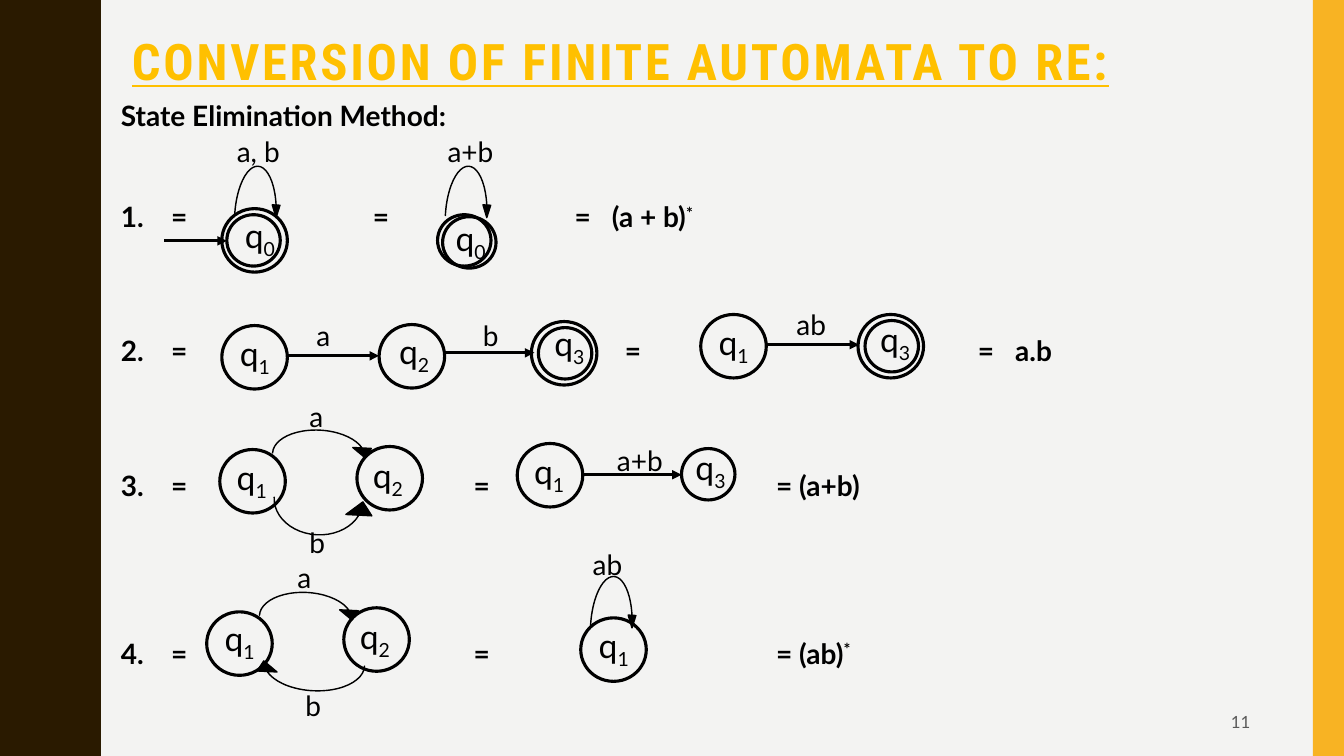
from dataclasses import dataclass

from lxml import etree
from pptx import Presentation
from pptx.dml.color import RGBColor
from pptx.enum.shapes import MSO_CONNECTOR, MSO_SHAPE
from pptx.enum.text import MSO_ANCHOR, PP_ALIGN
from pptx.oxml.ns import qn
from pptx.util import Inches, Pt

STRAIGHT = MSO_CONNECTOR.STRAIGHT
OVAL, RECT, BEND = MSO_SHAPE.OVAL, MSO_SHAPE.RECTANGLE, MSO_SHAPE.CURVED_DOWN_ARROW
RIGHT, MIDDLE = PP_ALIGN.RIGHT, MSO_ANCHOR.MIDDLE


@dataclass(frozen=True)
class Theme:
    paper: RGBColor = RGBColor(0xF3, 0xF3, 0xF2)
    wave: RGBColor = RGBColor(0x2A, 0x1A, 0x00)
    band: RGBColor = RGBColor(0xF8, 0xB3, 0x23)
    title: RGBColor = RGBColor(0xFF, 0xC0, 0x00)
    ink: RGBColor = RGBColor(0, 0, 0)
    muted: RGBColor = RGBColor(0x59, 0x59, 0x59)
    head_font: str = "Roboto Condensed"
    body_font: str = "Lato"
    title_size: int = 36
    state_size: int = 24
    body_size: int = 20
    page_size: int = 12
    line: float = 2.25
    thin: float = 1


T = Theme()

# Wave edge: half of one period, and the number of periods down the slide
HALF_WAVE = [(0.78, 0), (0.78, 0.07), (0.79, 0.14), (0.8, 0.2), (0.81, 0.25),
             (0.83, 0.29), (0.85, 0.33), (0.87, 0.38), (0.89, 0.42), (0.91, 0.46),
             (0.93, 0.5), (0.95, 0.55), (0.96, 0.61), (0.97, 0.68), (0.97, 0.75)]
PERIOD, WAVES = 1.5, 5

# Ring sizes and curved arrow proportions
OUTER, INNER = (0.65, 0.63), (0.53, 0.51)
LOOP, ARC = (0, 0.17, 0.277), (0, 0.736, 0.381)

# Formula rows: text, superscript, empty lines above
ROWS = [
    ("=" + "\t" * 4 + "=" + "\t" * 4 + "=\u2003(a + b)", "*", 2),
    ("=" + "\t" * 9 + "=" + "\t" * 7 + "=\u2003a.b", "", 3),
    ("=" + "\t" * 6 + "=" + "\t" * 6 + "= (a+b)", "", 3),
    ("=" + "\t" * 6 + "=" + "\t" * 6 + "= (ab)", "*", 4),
]

# States: index, label position, rings as (left, top, size)
STATES = [
    ("0", (2.33, 2.08), [(2.2, 2.07, OUTER), (2.25, 2.13, INNER)]),
    ("0", (4.42, 2.11), [(4.34, 2.13, INNER), (4.39, 2.15, INNER)]),
    ("1", (2.28, 3.25), [(2.2, 3.23, OUTER)]),
    ("2", (3.86, 3.23), [(3.76, 3.22, OUTER)]),
    ("3", (5.4, 3.15), [(5.27, 3.19, OUTER), (5.34, 3.25, INNER)]),
    ("1", (7.03, 3.14), [(6.95, 3.12, OUTER)]),
    ("3", (8.63, 3.11), [(8.51, 3.12, OUTER), (8.58, 3.18, INNER)]),
    ("1", (2.25, 4.48), [(2.18, 4.46, OUTER)]),
    ("2", (3.6, 4.46), [(3.54, 4.43, OUTER)]),
    ("1", (5.2, 4.42), [(5.13, 4.4, OUTER)]),
    ("3", (6.8, 4.38), [(6.76, 4.45, INNER)]),
    ("1", (2.13, 6.08), [(2.05, 6.07, OUTER)]),
    ("2", (3.47, 6.06), [(3.41, 6.03, OUTER)]),
    ("1", (5.84, 6.15), [(5.76, 6.13, OUTER)]),
]

# Straight transitions: start, end, height
ARROWS = [(1.63, 2.25, 2.39), (2.85, 3.76, 3.53), (4.39, 5.3, 3.5),
          (7.6, 8.52, 3.42), (5.78, 6.76, 4.71)]

# Curved transitions: box, proportions, flips
BENDS = [
    ((2.34, 1.65, 0.45, 0.5), LOOP, ""),
    ((4.43, 1.65, 0.45, 0.5), LOOP, ""),
    ((5.87, 5.72, 0.45, 0.5), LOOP, ""),
    ((2.71, 4.27, 1.01, 0.25), ARC, ""),
    ((2.71, 4.96, 1.01, 0.35), ARC, "V"),
    ((2.58, 5.88, 1.01, 0.25), ARC, ""),
    ((2.51, 6.58, 1.1, 0.27), ARC, "HV"),
]

SYMBOLS = [("a, b", 2.25, 1.29), ("a+b", 4.34, 1.29), ("a", 3.04, 3.11),
           ("b", 4.69, 3.11), ("ab", 7.8, 3), ("a", 2.97, 3.91), ("b", 2.97, 5.16),
           ("a+b", 6.02, 4.35), ("a", 2.85, 5.51), ("b", 2.93, 6.78), ("ab", 5.78, 5.38)]


def style_font(font, size, color=T.ink, name=T.body_font, bold=False):
    font.size, font.name, font.bold = Pt(size), name, bold
    font.color.rgb = color


def add_text(s, box, text, size, **style):
    tf = s.shapes.add_textbox(*map(Inches, box)).text_frame
    tf.word_wrap = True
    p = tf.paragraphs[0]
    p.add_run().text = text
    style_font(p.font, size, **style)
    return tf


def add_shifted(p, text, baseline):
    r = p.add_run()
    r.text = text
    r.font._element.set("baseline", str(baseline * 1000))


def paint(sp, fill=None, line=None):
    sp.shadow.inherit = False
    if fill is None:
        sp.fill.background()
    else:
        sp.fill.solid()
        sp.fill.fore_color.rgb = fill
    if line is None:
        sp.line.fill.background()
    else:
        sp.line.color.rgb, sp.line.width = T.ink, Pt(line)


def add_wave(s):
    period = HALF_WAVE + [(x, PERIOD - y) for x, y in HALF_WAVE[-2::-1]]
    edge = [(x, y + PERIOD * i) for i in range(WAVES) for x, y in period]
    fb = s.shapes.build_freeform(0, 0, scale=Inches(1))
    fb.add_line_segments(edge + [(0, PERIOD * WAVES)], close=True)
    paint(fb.convert_to_shape(), T.wave)


def add_formulas(s):
    tf = add_text(s, (1.1, 0.93, 11.92, 6.16), "State Elimination Method:",
                  T.body_size, bold=True)
    for text, power, gap in ROWS:
        p = tf.add_paragraph()
        p.space_before = Pt(1.2 * T.body_size * gap)
        style_font(p.font, T.body_size, bold=True)
        pPr = p._p.get_or_add_pPr()
        for key, inches in (("marL", 0.5), ("indent", -0.5), ("defTabSz", 0.5)):
            pPr.set(key, str(Inches(inches)))
        number = etree.Element(qn("a:buAutoNum"), type="arabicPeriod")
        pPr.find(qn("a:defRPr")).addprevious(number)
        p.add_run().text = text
        if power:
            add_shifted(p, power, 30)


def add_state(s, index, label, rings):
    for x, y, size in rings:
        paint(s.shapes.add_shape(OVAL, *map(Inches, (x, y, *size))), line=T.line)
    tf = add_text(s, (*label, 0.63, 0.5), "q", T.state_size)
    add_shifted(tf.paragraphs[0], index, -25)


def add_arrow(s, x1, x2, y):
    c = s.shapes.add_connector(STRAIGHT, *map(Inches, (x1, y, x2, y)))
    c.line.color.rgb, c.line.width = T.ink, Pt(T.line)
    etree.SubElement(c.line._get_or_add_ln(), qn("a:tailEnd"), type="triangle")
    etree.SubElement(c._element.spPr, qn("a:effectLst"))


def add_bend(s, box, proportions, flips):
    sp = s.shapes.add_shape(BEND, *map(Inches, box))
    sp.rotation = 3
    for i, value in enumerate(proportions):
        sp.adjustments[i] = value
    for axis in flips:
        sp._element.spPr.find(qn("a:xfrm")).set("flip" + axis, "1")
    paint(sp, T.ink, T.thin)


def main():
    prs = Presentation()
    prs.slide_width, prs.slide_height = Inches(13.33), Inches(7.5)
    s = prs.slides.add_slide(prs.slide_layouts[6])

    # Background
    s.background.fill.solid()
    s.background.fill.fore_color.rgb = T.paper
    add_wave(s)
    paint(s.shapes.add_shape(RECT, *map(Inches, (13.02, 0, 0.31, 7.5))), T.band)

    # Title and page number
    tf = add_text(s, (1.21, 0.32, 11.71, 0.98), "CONVERSION OF FINITE AUTOMATA TO RE:",
                  T.title_size, color=T.title, name=T.head_font, bold=True)
    p = tf.paragraphs[0]
    p.line_spacing, p.font.underline = 0.9, True
    p.runs[0].font._element.set("spc", "200")
    tf = add_text(s, (9.42, 6.97, 3.08, 0.38), "11", T.page_size, color=T.muted)
    tf.vertical_anchor, tf.paragraphs[0].alignment = MIDDLE, RIGHT

    # Formulas and automata
    add_formulas(s)
    for state in STATES:
        add_state(s, *state)
    for arrow in ARROWS:
        add_arrow(s, *arrow)
    for bend in BENDS:
        add_bend(s, *bend)
    for text, x, y in SYMBOLS:
        add_text(s, (x, y, 0.79, 0.44), text, T.body_size)

    prs.save("out.pptx")


main()
